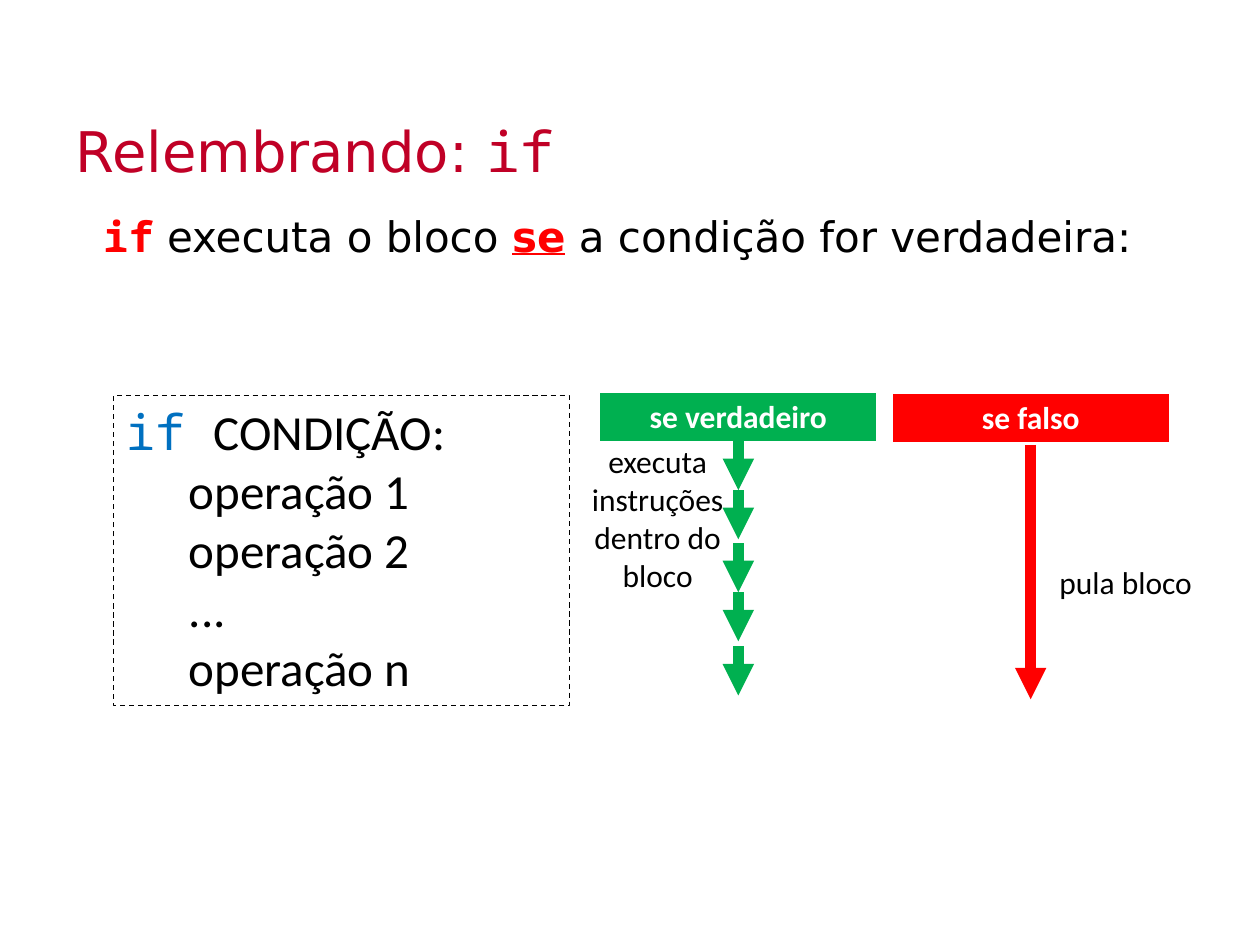
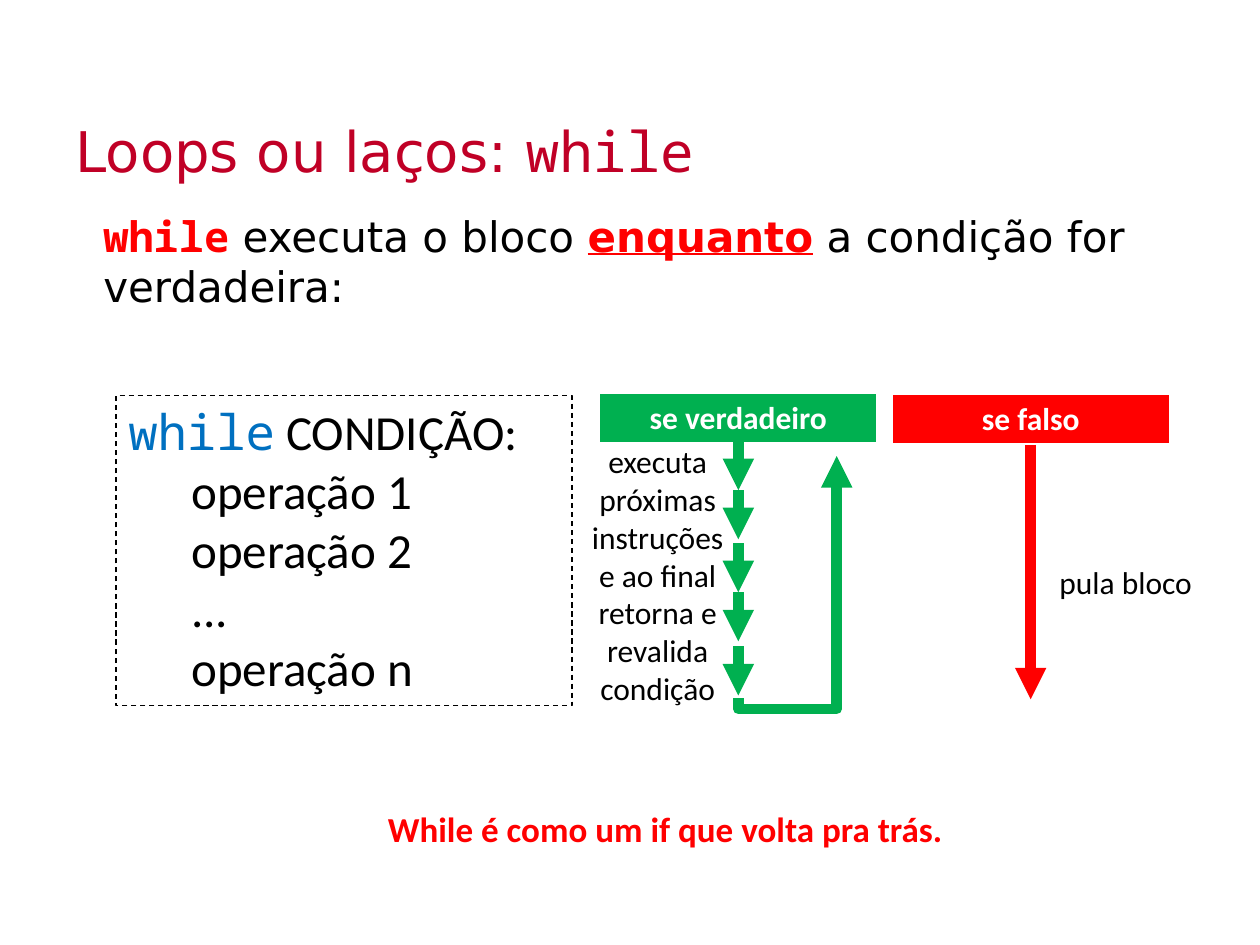
from dataclasses import dataclass

from lxml import etree
from pptx import Presentation
from pptx.dml.color import RGBColor
from pptx.enum.dml import MSO_LINE
from pptx.enum.shapes import MSO_CONNECTOR, MSO_SHAPE
from pptx.enum.text import MSO_ANCHOR, MSO_AUTO_SIZE, PP_ALIGN
from pptx.oxml.ns import qn
from pptx.util import Pt

LEFT, CENTER = PP_ALIGN.LEFT, PP_ALIGN.CENTER
TOP, MIDDLE = MSO_ANCHOR.TOP, MSO_ANCHOR.MIDDLE
NO_FIT, GROW = MSO_AUTO_SIZE.NONE, MSO_AUTO_SIZE.SHAPE_TO_FIT_TEXT
RECTANGLE = MSO_SHAPE.RECTANGLE
STRAIGHT, ELBOW = MSO_CONNECTOR.STRAIGHT, MSO_CONNECTOR.ELBOW
DASH = MSO_LINE.DASH
EMU_PER_PX = 9144
STEP_TOPS = (350, 389, 431, 470, 513)
STEP_LENGTH = 39
TRUE_X, FALSE_X = 586, 818


@dataclass(frozen=True)
class Theme:
    """Colours, fonts and type sizes of the deck."""

    title_color: str = "C00026"
    red: str = "FF0000"
    green: str = "00B050"
    blue: str = "0070C0"
    black: str = "000000"
    white: str = "FFFFFF"
    heading_font: str = "DejaVu Sans"
    code_font: str = "Noto Sans Mono"
    label_font: str = "Calibri"
    title_size: int = 32
    body_size: int = 24
    code_size: int = 28
    label_size: int = 18
    remark_size: int = 20
    arrow_width: int = 6


def px(length):
    """Turn px, at 100 to the inch, into EMU."""
    return length * EMU_PER_PX


def set_font(font, name=None, size=None, color=None, bold=None, underline=None):
    """Set the given properties of a font."""
    if name:
        font.name = name
    if size:
        font.size = Pt(size)
    if color:
        font.color.rgb = RGBColor.from_string(color)
    if bold is not None:
        font.bold = bold
    if underline is not None:
        font.underline = underline


def write(para, spans, align=LEFT, **style):
    """Fill a paragraph with (text, differences) spans over a common style."""
    para.alignment = align
    set_font(para.font, **style)
    for text, differences in spans:
        span = para.add_run()
        span.text = text
        set_font(span.font, **differences)


class SlideBuilder:
    """Holds the theme and the current slide, and draws its elements."""

    def __init__(self, deck, theme):
        """Keep the deck and its theme."""
        self.deck = deck
        self.theme = theme
        self.page = None

    def new_page(self):
        """Start a title and content slide."""
        self.page = self.deck.slides.add_slide(self.deck.slide_layouts[1])

    def placeholder(self, index, bounds, anchor):
        """Move a placeholder and return its first paragraph."""
        box = self.page.placeholders[index]
        box.left, box.top, box.width, box.height = map(px, bounds)
        frame = box.text_frame
        frame.auto_size = NO_FIT
        frame.vertical_anchor = anchor
        return frame.paragraphs[0]

    def title(self, text, keyword):
        """Write the title, ending in a keyword set as code."""
        theme = self.theme
        para = self.placeholder(0, (50, 85, 900, 68), MIDDLE)
        spans = [(text, {"name": theme.heading_font}), (keyword, {"name": theme.code_font})]
        write(para, spans, size=theme.title_size, color=theme.title_color)

    def body(self, keyword, middle, emphasis, end, height):
        """Write the sentence that explains the keyword."""
        theme = self.theme
        para = self.placeholder(1, (72, 162, 878, height), TOP)
        properties = para._p.get_or_add_pPr()
        properties.set("marL", "0")
        properties.set("indent", "0")
        etree.SubElement(properties, qn("a:buNone"))
        plain = {"name": theme.heading_font, "color": theme.black}
        strong = {"color": theme.red, "bold": True}
        spans = [
            (keyword, {**strong, "name": theme.code_font}),
            (middle, plain),
            (emphasis, {**strong, "name": theme.heading_font, "underline": True}),
            (end, plain),
        ]
        write(para, spans, size=theme.body_size)

    def code_box(self, left, keyword, condition):
        """Draw the dashed box with the schematic code."""
        theme = self.theme
        box = self.page.shapes.add_shape(RECTANGLE, px(left), px(314), px(362), px(246))
        box.shadow.inherit = False
        box.fill.background()
        box.line.color.rgb = RGBColor.from_string(theme.black)
        box.line.width = Pt(0.75)
        box.line.dash_style = DASH
        frame = box.text_frame
        frame.word_wrap = True
        frame.vertical_anchor = TOP
        plain = {"name": theme.label_font, "color": theme.black}
        head = {"name": theme.code_font, "color": theme.blue}
        write(frame.paragraphs[0], [(keyword, head), (condition, plain)], size=theme.code_size)
        for operation in ("operação 1", "operação 2", "...", "operação n"):
            para = frame.add_paragraph()
            tabs = etree.SubElement(para._p.get_or_add_pPr(), qn("a:tabLst"))
            etree.SubElement(tabs, qn("a:tab"), pos=str(px(50)), algn="l")
            write(para, [("\t" + operation, {})], size=theme.code_size, **plain)

    def header(self, left, top, height, text, color):
        """Draw a one-cell table that heads a branch."""
        theme = self.theme
        bounds = map(px, (left, top, 220, height))
        table = self.page.shapes.add_table(1, 1, *bounds).table
        table.first_row = table.horz_banding = False
        cell = table.cell(0, 0)
        properties = cell._tc.get_or_add_tcPr()
        for side, width in (("L", 1), ("R", 1), ("T", 1), ("B", 3)):
            border = etree.SubElement(properties, qn("a:ln" + side), w=str(Pt(width)))
            fill = etree.SubElement(border, qn("a:solidFill"))
            etree.SubElement(fill, qn("a:srgbClr"), val=theme.white)
        cell.fill.solid()
        cell.fill.fore_color.rgb = RGBColor.from_string(color)
        write(cell.text_frame.paragraphs[0], [(text, {})], CENTER, name=theme.label_font,
              size=theme.label_size, color=theme.white, bold=True)

    def label(self, bounds, lines, align=LEFT, **changes):
        """Write lines of free text, one paragraph each."""
        theme = self.theme
        frame = self.page.shapes.add_textbox(*map(px, bounds)).text_frame
        frame.word_wrap = False
        frame.auto_size = GROW
        style = {"name": theme.label_font, "size": theme.label_size, "color": theme.black}
        style.update(changes)
        for number, line in enumerate(lines):
            para = frame.add_paragraph() if number else frame.paragraphs[0]
            write(para, [(line, {})], align, **style)

    def arrow(self, start, end, color, kind=STRAIGHT):
        """Draw a thick arrow and return it."""
        arrow = self.page.shapes.add_connector(kind, *map(px, start + end))
        arrow.line.color.rgb = RGBColor.from_string(color)
        arrow.line.width = Pt(self.theme.arrow_width)
        line = arrow.line._get_or_add_ln()
        etree.SubElement(line, qn("a:tailEnd"), type="triangle")
        etree.SubElement(arrow._element.spPr, qn("a:effectLst"))
        return arrow

    def return_arrow(self):
        """Draw the bent arrow that goes back up to the condition."""
        arrow = self.arrow((721, 497), (529, 419), self.theme.green, ELBOW)
        properties = arrow._element.spPr
        properties.find(qn("a:xfrm")).set("rot", "5400000")
        guides = properties.find(qn("a:prstGeom")).find(qn("a:avLst"))
        etree.SubElement(guides, qn("a:gd"), name="adj1", fmla="val -4600")

    def branches(self, top, steps, steps_height):
        """Draw what happens when the condition is true and when it is false."""
        theme = self.theme
        self.header(476, top, 41, "se verdadeiro", theme.green)
        self.header(708, top + 1, 40, "se falso", theme.red)
        self.label((831, 442, 127, 40), ["pula bloco"])
        self.label((459, 346, 126, steps_height), steps, CENTER)
        for step_top in STEP_TOPS:
            self.arrow((TRUE_X, step_top), (TRUE_X, step_top + STEP_LENGTH), theme.green)
        self.arrow((FALSE_X, 353), (FALSE_X, 555), theme.red)


def main():
    """Build the two slides and save the deck."""
    deck = Presentation()
    deck.slide_width, deck.slide_height = px(1000), px(750)
    theme = Theme()
    builder = SlideBuilder(deck, theme)

    builder.new_page()
    builder.title("Relembrando: ", "if")
    builder.body("if", " executa o bloco ", "se", " a condição for verdadeira:", 72)
    builder.code_box(90, "if ", "CONDIÇÃO:")
    builder.branches(311, ["executa", "instruções", "dentro do", "bloco"], 131)

    builder.new_page()
    builder.title("Loops ou laços: ", "while")
    builder.body("while", " executa o bloco ", "enquanto", " a condição for verdadeira:", 109)
    builder.code_box(92, "while", " CONDIÇÃO:")
    steps = ["executa", "próximas", "instruções", "e ao final", "retorna e", "revalida", "condição"]
    builder.branches(312, steps, 222)
    builder.return_arrow()
    builder.label((298, 636, 464, 44), ["While é como um if que volta pra trás."],
                  size=theme.remark_size, color=theme.red, bold=True)

    deck.save("out.pptx")


if __name__ == "__main__":
    main()
